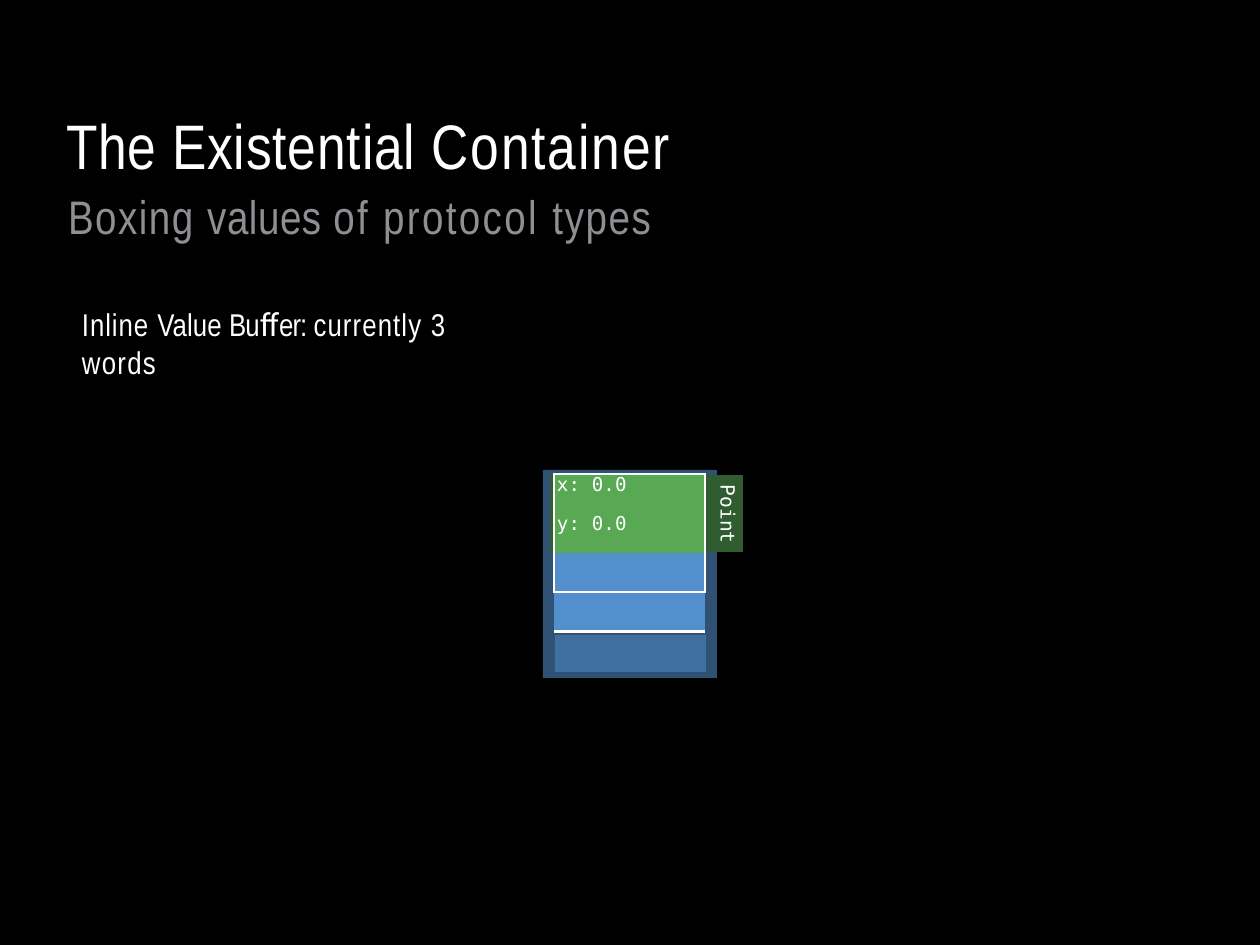
from pptx import Presentation
from pptx.dml.color import RGBColor as RGB
from pptx.enum.shapes import MSO_SHAPE as Shape
from pptx.enum.text import MSO_ANCHOR as Anchor, MSO_AUTO_SIZE as Fit, PP_ALIGN as Align
from pptx.oxml.ns import qn
from pptx.util import Pt
from lxml.etree import SubElement as Sub

PX = 13291
WHITE = RGB(0xFF, 0xFF, 0xFF)
BLACK = RGB(0, 0, 0)
GRAY = RGB(0x8E, 0x8E, 0x93)
NAVY = RGB(0x2E, 0x51, 0x74)
BLUE = RGB(0x52, 0x8F, 0xCC)
GREEN = RGB(0x58, 0xA8, 0x54)
MOSS = RGB(0x30, 0x5C, 0x2F)
SANS, MONO, LIG = "Arial Narrow", "DejaVu Sans Mono", "Roboto"


def scale(*box):
    return [n * PX for n in box]


def set_frame(frame):
    frame.margin_left = frame.margin_top = 0
    frame.margin_right = frame.margin_bottom = 0
    frame.word_wrap = True
    frame.auto_size = Fit.NONE
    frame.vertical_anchor = Anchor.TOP


def write(para, runs, size, color=WHITE, indent=1, before=0):
    para.alignment = Align.LEFT
    para.space_before = Pt(before)
    props = para._p.get_or_add_pPr()
    props.set("marL", str(indent * PX))
    props.set("indent", "0")
    for text, gap, face in runs:
        run = para.add_run()
        run.text = text
        run.font.size = Pt(size)
        run.font.name = face
        run.font.color.rgb = color
        run._r.get_or_add_rPr().set("spc", str(round(gap * 100)))


def add_text(slide, box):
    frame = slide.shapes.add_textbox(*scale(*box)).text_frame
    set_frame(frame)
    return frame


def add_rect(slide, box, color, alpha=None):
    rect = slide.shapes.add_shape(Shape.RECTANGLE, *scale(*box))
    rect.shadow.inherit = False
    rect.line.fill.background()
    rect.fill.solid()
    rect.fill.fore_color.rgb = color
    if alpha:
        tone = rect.fill._xPr.find(".//" + qn("a:srgbClr"))
        Sub(tone, qn("a:alpha"), val=str(alpha * 1000))


def set_edges(cell, edges):
    props = cell._tc.get_or_add_tcPr()
    for side in "LRTB":
        width = edges.get(side, 0)
        line = Sub(props, qn("a:ln" + side), w=str(int(Pt(width))))
        if width:
            fill = Sub(line, qn("a:solidFill"))
            Sub(fill, qn("a:srgbClr"), val=str(WHITE))
        else:
            Sub(line, qn("a:noFill"))


def add_title(slide, box):
    title = slide.shapes.title
    title.left, title.top, title.width, title.height = scale(*box)
    frame = title.text_frame
    set_frame(frame)
    head = [("The ", 0.8, SANS), ("Existential ", 0.9, SANS), ("Container", 2, SANS)]
    sub = [("Boxing ", 1.6, SANS), ("values ", 0.6, SANS), ("of ", 2.4, SANS),
           ("protocol ", 2.5, SANS), ("types", 1.7, SANS)]
    write(frame.paragraphs[0], head, 65.8)
    write(frame.add_paragraph(), sub, 49.2, GRAY, 3, 5.7)


def add_note(slide, box):
    runs = [("Inline ", 1, SANS), ("Value ", 0.1, SANS), ("Bu", -1, SANS),
            ("ﬀ", -1, LIG), ("er: ", -1, SANS), ("currently ", 1.2, SANS),
            ("3 ", 0.8, SANS), ("words", 1.4, SANS)]
    write(add_text(slide, box).paragraphs[0], runs, 32.9)


def add_tag(slide, box):
    x, y, w, h = box
    add_rect(slide, box, MOSS)
    frame = add_text(slide, (x + w - 26, y + 9, 20, h - 16))
    frame._txBody.bodyPr.set("vert", "vert")
    para = frame.paragraphs[0]
    write(para, [("Point", 0, MONO)], 20.4)
    para.line_spacing = Pt(21.3)


def add_slots(slide, box):
    thin, thick = 2.47, 3.67
    slots = [("x: 0.0", GREEN, 39, dict(L=thin, T=thin, R=thin)),
             ("y: 0.0", GREEN, 40, dict(L=thin, R=thin)),
             ("", BLUE, 39, dict(L=thin, R=thin, B=thin)),
             ("", BLUE, 40, dict(T=thin, B=thick))]
    table = slide.shapes.add_table(len(slots), 1, *scale(*box)).table
    table.first_row = table.horz_banding = False
    for i, (text, color, high, edges) in enumerate(slots):
        table.rows[i].height = high * PX
        cell = table.cell(i, 0)
        cell.margin_left = cell.margin_right = 0
        cell.margin_top = cell.margin_bottom = 0
        set_edges(cell, edges)
        cell.fill.solid()
        cell.fill.fore_color.rgb = color
        if text:
            write(cell.text_frame.paragraphs[0], [(text, 0.1, MONO)], 20, indent=3,
                  before=3.5 if i else 2.3)


def add_store(slide, box):
    x, y, w, h = box
    add_rect(slide, box, NAVY)
    add_tag(slide, (x + 7, y + 5, w + 19, 77))
    add_rect(slide, (x + 12, y + h - 43, 151, 37), BLUE, 50)
    add_slots(slide, (x + 11, y + 4, 151, 158))


def main():
    deck = Presentation()
    deck.slide_width, deck.slide_height = scale(1260, 945)
    slide = deck.slides.add_slide(deck.slide_layouts[5])
    slide.background.fill.solid()
    slide.background.fill.fore_color.rgb = BLACK
    add_title(slide, (65, 107, 921, 139))
    add_note(slide, (81, 305, 443, 38))
    add_store(slide, (543, 470, 174, 208))
    deck.save("out.pptx")


if __name__ == "__main__":
    main()
